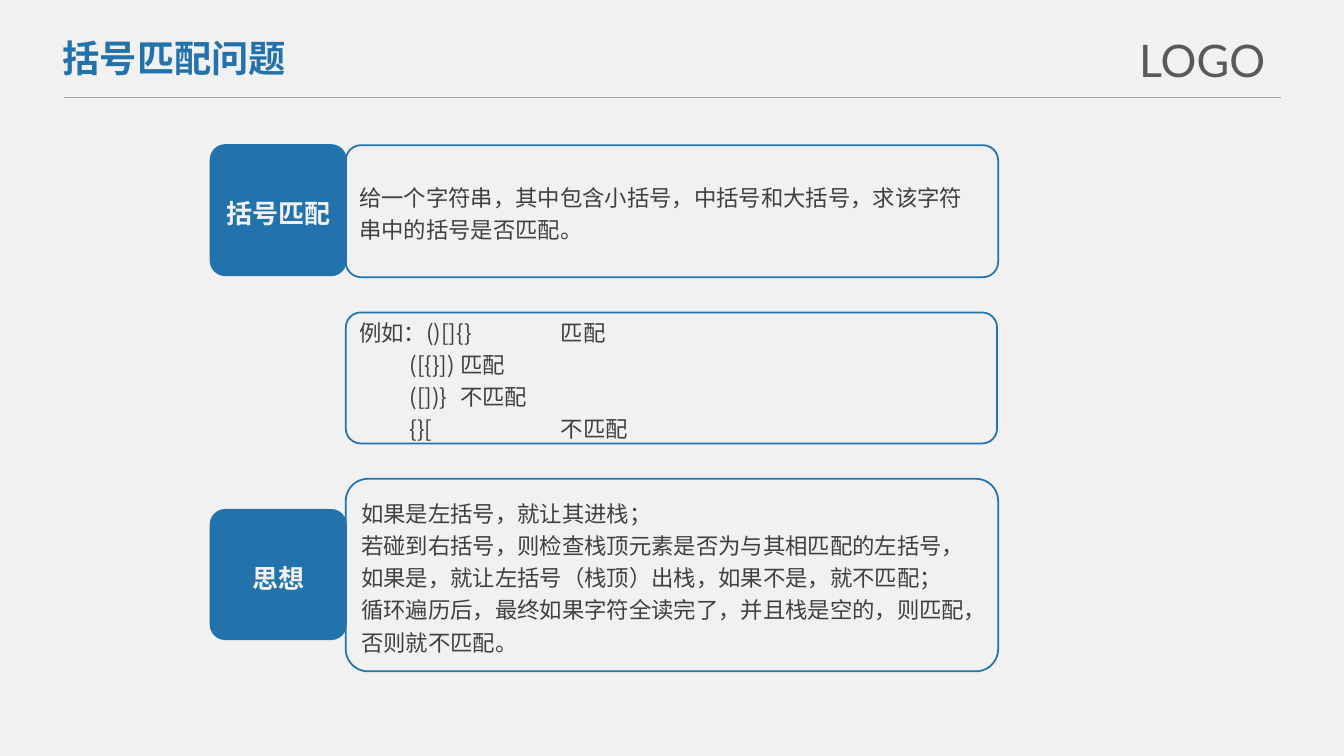
from dataclasses import dataclass

from lxml.etree import SubElement
from pptx import Presentation
from pptx.dml.color import RGBColor
from pptx.enum.shapes import MSO_CONNECTOR, MSO_SHAPE
from pptx.enum.text import MSO_ANCHOR, MSO_AUTO_SIZE, PP_ALIGN
from pptx.oxml.ns import qn
from pptx.util import Inches, Pt

BLUE = "2272AB"
CHINESE_FONT = "Noto Sans CJK SC"
TAB_STOPS = (0.5, 1, 2)


@dataclass(frozen=True)
class TextStyle:
    size: float
    color: str
    font: str = CHINESE_FONT
    bold: bool = False


@dataclass(frozen=True)
class Card:
    left: float
    top: float
    width: float
    height: float
    lines: tuple[str, ...]
    is_label: bool = False


HEADING = TextStyle(26.6, BLUE, bold=True)
MARK = TextStyle(32, "595959", font="Lato")
LABEL = TextStyle(18.6, "F2F2F2", bold=True)
BODY = TextStyle(16, "404040")

CARDS = (
    Card(3.43, 1.44, 6.47, 1.31, (
        "给一个字符串，其中包含小括号，中括号和大括号，求该字符串中的括号是否匹配。",
    )),
    Card(2.08, 1.43, 1.36, 1.31, ("括号匹配",), is_label=True),
    Card(3.43, 4.75, 6.47, 1.91, (
        "如果是左括号，就让其进栈；",
        "若碰到右括号，则检查栈顶元素是否为与其相匹配的左括号，",
        "如果是，就让左括号（栈顶）出栈，如果不是，就不匹配；",
        "循环遍历后，最终如果字符全读完了，并且栈是空的，则匹配，否则就不匹配。",
    )),
    Card(2.08, 5.05, 1.36, 1.3, ("思想",), is_label=True),
    Card(3.43, 3.1, 6.46, 1.3, (
        "例如：()[]{}\t匹配",
        "\t([{}])\t匹配",
        "\t([])}\t不匹配",
        "\t{}[\t\t不匹配",
    )),
)


def rgb(value: str) -> RGBColor:
    return RGBColor.from_string(value)


def add_run(paragraph, text: str, style: TextStyle) -> None:
    run = paragraph.add_run()
    run.text = text
    run.font.size = Pt(style.size)
    run.font.bold = style.bold
    run.font.name = style.font
    run.font.color.rgb = rgb(style.color)
    SubElement(run.font._element, qn("a:ea"), typeface=style.font)


def add_tab_stops(paragraph) -> None:
    tab_list = SubElement(paragraph._p.get_or_add_pPr(), qn("a:tabLst"))
    for stop in TAB_STOPS:
        SubElement(tab_list, qn("a:tab"), pos=str(Inches(stop)), algn="l")


def write_single_line(shape, text: str, style: TextStyle) -> None:
    frame = shape.text_frame
    frame.word_wrap = False
    frame.auto_size = MSO_AUTO_SIZE.SHAPE_TO_FIT_TEXT
    frame.vertical_anchor = MSO_ANCHOR.TOP
    paragraph = frame.paragraphs[0]
    paragraph.alignment = PP_ALIGN.LEFT
    paragraph.line_spacing = 1.0
    paragraph.space_before = Pt(0)
    add_run(paragraph, text, style)


def add_header(slide) -> None:
    rule = slide.shapes.add_connector(
        MSO_CONNECTOR.STRAIGHT, Inches(0.63), Inches(0.97), Inches(12.71), Inches(0.97))
    rule.line.color.rgb = rgb("A6A6A6")
    rule.line.width = Pt(1)
    SubElement(rule._element.spPr, qn("a:effectLst"))

    heading = slide.shapes.title
    heading.left, heading.top = Inches(0.52), Inches(0.3)
    heading.width, heading.height = Inches(2.42), Inches(0.55)
    write_single_line(heading, "括号匹配问题", HEADING)

    mark = slide.shapes.add_textbox(Inches(11.2), Inches(0.28), Inches(1.58), Inches(0.64))
    write_single_line(mark, "LOGO", MARK)


def add_card(slide, card: Card) -> None:
    box = slide.shapes.add_shape(
        MSO_SHAPE.ROUNDED_RECTANGLE, Inches(card.left), Inches(card.top),
        Inches(card.width), Inches(card.height))
    box.shadow.inherit = False
    box.adjustments[0] = 0.119 if card.is_label else 0.115
    if card.is_label:
        box.fill.solid()
        box.fill.fore_color.rgb = rgb(BLUE)
        box.line.fill.background()
    else:
        box.fill.background()
        box.line.color.rgb = rgb(BLUE)
        box.line.width = Pt(1.25)

    frame = box.text_frame
    frame.word_wrap = True
    frame.vertical_anchor = MSO_ANCHOR.MIDDLE
    frame.margin_left = frame.margin_right = Inches(0.09)
    frame.margin_top = frame.margin_bottom = Inches(0.05)
    for index, line in enumerate(card.lines):
        paragraph = frame.add_paragraph() if index else frame.paragraphs[0]
        paragraph.alignment = PP_ALIGN.CENTER if card.is_label else PP_ALIGN.LEFT
        paragraph.line_spacing = 1.2
        if "\t" in line:
            add_tab_stops(paragraph)
        add_run(paragraph, line, LABEL if card.is_label else BODY)


def main() -> None:
    presentation = Presentation()
    presentation.slide_width = Inches(13.33)
    presentation.slide_height = Inches(7.5)
    slide = presentation.slides.add_slide(presentation.slide_layouts[5])
    slide.background.fill.solid()
    slide.background.fill.fore_color.rgb = rgb("F1F1F1")
    add_header(slide)
    for card in CARDS:
        add_card(slide, card)
    presentation.save("out.pptx")


if __name__ == "__main__":
    main()
